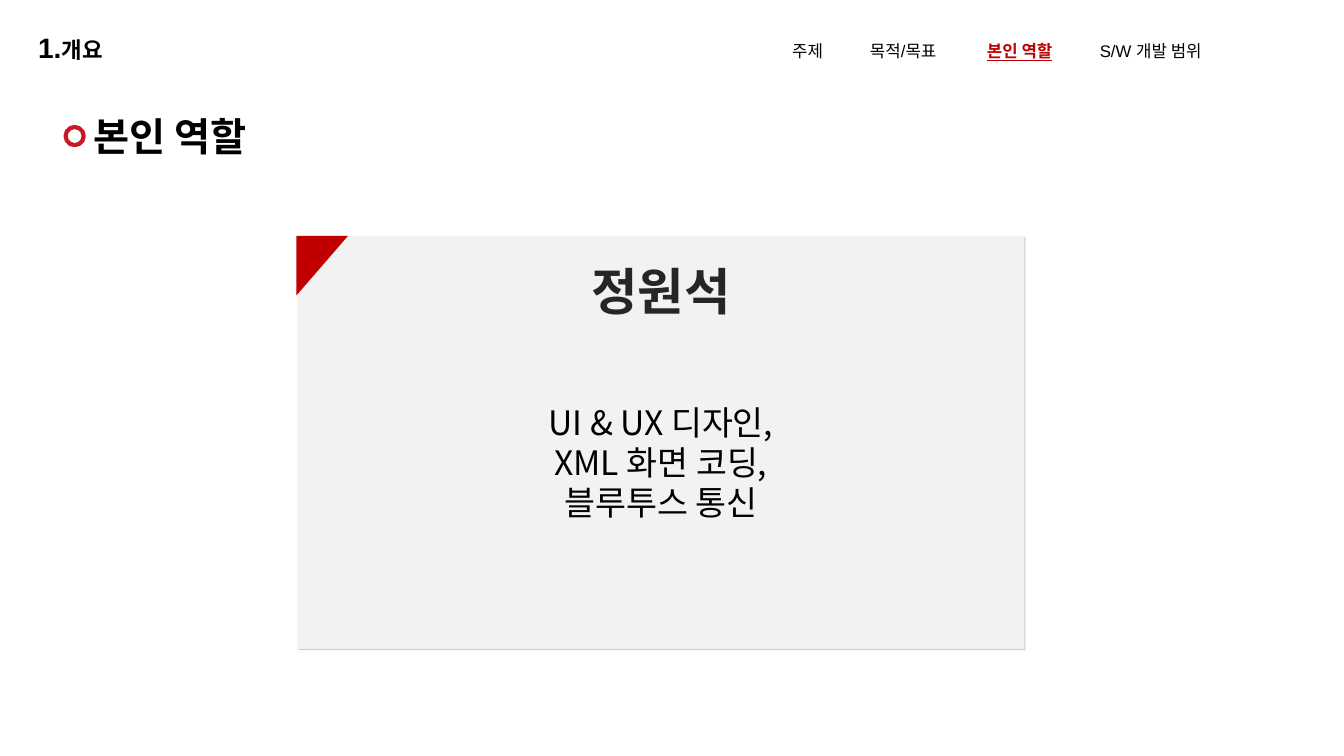
import dataclasses

import lxml.etree
import pptx
import pptx.dml.color
import pptx.enum.shapes
import pptx.enum.text
import pptx.oxml.ns
import pptx.util

LATIN, KOREAN = "Arial", "Noto Sans CJK KR"
BLACK, CHARCOAL, PALE = "000000", "262626", "F2F2F2"
RED, RING_RED = "C00000", "CB1825"
LEFT = pptx.enum.text.PP_ALIGN.LEFT
CENTER = pptx.enum.text.PP_ALIGN.CENTER

presentation = pptx.Presentation()
presentation.slide_width = pptx.util.Inches(13.33)
presentation.slide_height = pptx.util.Inches(7.5)
slide = presentation.slides.add_slide(presentation.slide_layouts[5])


@dataclasses.dataclass(frozen=True)
class Area:
    """A place on a grid of 100 columns by 100 rows."""
    column: float
    row: float
    columns: float
    rows: float

    def box(self) -> tuple[int, int, int, int]:
        return (across(self.column), down(self.row),
                across(self.columns), down(self.rows))


@dataclasses.dataclass(frozen=True)
class Run:
    text: str
    size: float
    color: str = BLACK
    bold: bool = False
    underline: bool = False
    font: str = LATIN


@dataclasses.dataclass(frozen=True)
class Line:
    runs: tuple[Run, ...]
    align: int = LEFT
    before: float = 0
    tabs: tuple[float, ...] = ()


def across(columns: float) -> int:
    return round(presentation.slide_width * columns / 100)


def down(rows: float) -> int:
    return round(presentation.slide_height * rows / 100)


def rgb(value: str) -> pptx.dml.color.RGBColor:
    return pptx.dml.color.RGBColor.from_string(value)


def add_element(parent, tag: str, **attributes):
    return lxml.etree.SubElement(parent, pptx.oxml.ns.qn(tag), attributes)


def write(holder, lines: list[Line]) -> None:
    frame = holder.text_frame
    frame.word_wrap = True
    frame.auto_size = pptx.enum.text.MSO_AUTO_SIZE.NONE
    frame.vertical_anchor = pptx.enum.text.MSO_ANCHOR.TOP
    for index, line in enumerate(lines):
        paragraph = frame.add_paragraph() if index else frame.paragraphs[0]
        paragraph.alignment = line.align
        if line.before:
            paragraph.space_before = pptx.util.Pt(line.before)
        if line.tabs:
            stops = add_element(paragraph._p.get_or_add_pPr(), "a:tabLst")
            for stop in line.tabs:
                add_element(stops, "a:tab", pos=str(across(stop)), algn="l")
        for part in line.runs:
            run = paragraph.add_run()
            run.text = part.text
            run.font.name = part.font
            run.font.size = pptx.util.Pt(part.size)
            run.font.bold = part.bold
            run.font.underline = part.underline
            run.font.color.rgb = rgb(part.color)
            add_element(run._r.get_or_add_rPr(), "a:ea", typeface=KOREAN)


def add_text(area: Area, lines: list[Line]) -> None:
    write(slide.shapes.add_textbox(*area.box()), lines)


# Card with a thin shadow
CARD = Area(22.13, 31.2, 54.09, 54.67)
card = slide.shapes.add_shape(
    pptx.enum.shapes.MSO_SHAPE.RECTANGLE, *CARD.box())
card.shadow.inherit = False
card.fill.solid()
card.fill.fore_color.rgb = rgb(PALE)
card.line.fill.background()
effects = card._element.spPr.find(pptx.oxml.ns.qn("a:effectLst"))
shadow = add_element(effects, "a:outerShdw", blurRad="0", dist="12700",
                     dir="2700000", algn="tl", rotWithShape="0")
add_element(add_element(shadow, "a:srgbClr", val=BLACK),
            "a:alpha", val="20000")

# Red corner of the card
CORNER = Area(22.06, 31.2, 3.83, 7.87)
left, top, width, height = CORNER.box()
outline = slide.shapes.build_freeform(left, top)
outline.add_line_segments([(left + width, top), (left, top + height)])
corner = outline.convert_to_shape()
corner.shadow.inherit = False
corner.fill.solid()
corner.fill.fore_color.rgb = rgb(RED)
corner.line.fill.background()

# Member and roles
roles = ["UI & UX 디자인,", "XML 화면 코딩,", "블루투스 통신"]
member = Line((Run("정원석", 36, CHARCOAL, bold=True),), CENTER)
add_text(Area(CARD.column, 33.73, CARD.columns, 36.4), [member] + [
    Line((Run(role, 24, font=KOREAN),), CENTER, 0 if index else 58)
    for index, role in enumerate(roles)])

# Navigation, with the current part in red
add_text(Area(58.21, 4.8, 39.46, 4), [Line((
    Run("주제\t목적/목표\t", 12),
    Run("본인 역할", 12, RED, bold=True, underline=True),
    Run("\tS/W 개발 범위", 12),
), tabs=(5.78, 14.48, 22.88))])

# Title and its ring
title = slide.shapes.title
title.left, title.top, title.width, title.height = Area(
    6.23, 14.13, 22.81, 7.6).box()
write(title, [Line((Run("본인 역할", 28, bold=True),))])

ring = slide.shapes.add_shape(
    pptx.enum.shapes.MSO_SHAPE.OVAL, *Area(4.88, 16.8, 1.35, 2.4).box())
ring.shadow.inherit = False
ring.fill.background()
ring.line.color.rgb = rgb(RING_RED)
ring.line.width = pptx.util.Pt(3)

# Section heading
add_text(Area(2.1, 3.33, 19.05, 5.87), [Line((
    Run("1.", 20, bold=True), Run("개요", 16, bold=True)))])

presentation.save("out.pptx")
